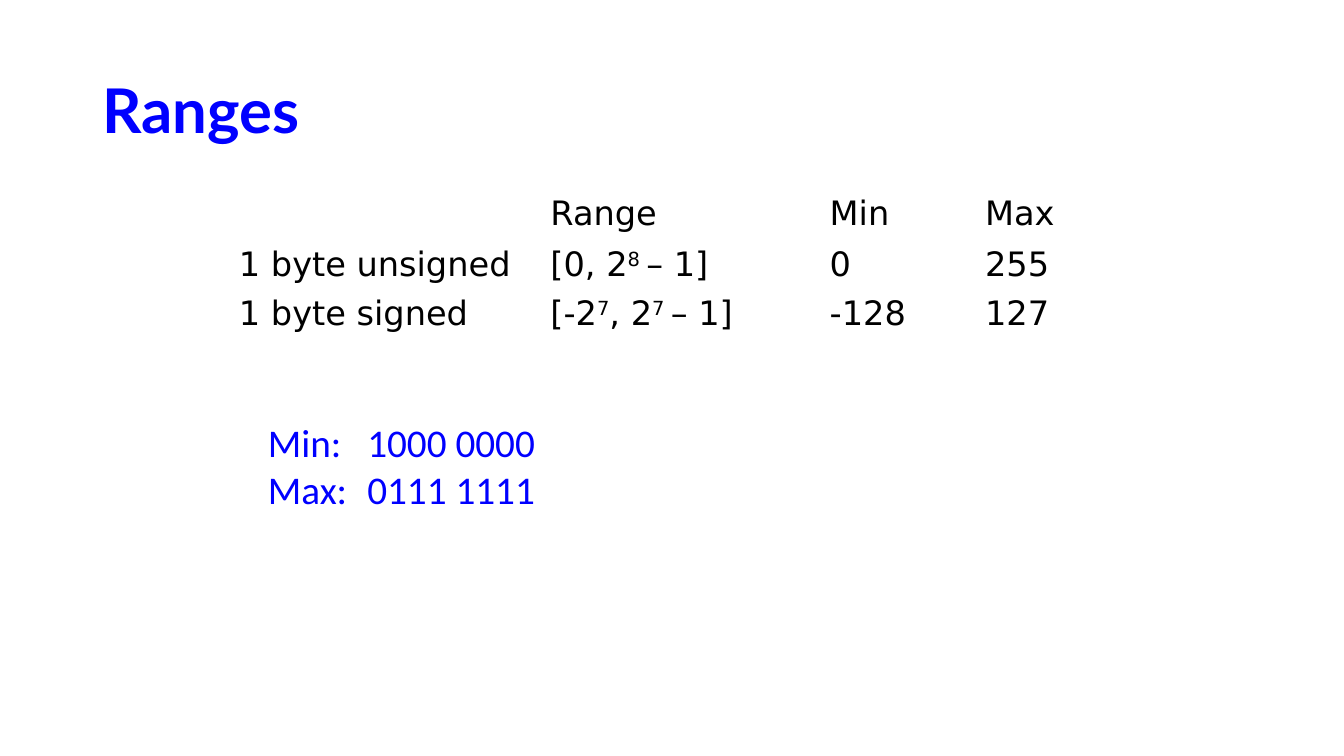
"""Build the slide on the value ranges of one-byte integers."""
from dataclasses import dataclass

from lxml import etree
from pptx import Presentation
from pptx import util as u
from pptx.dml import color
from pptx.enum import text
from pptx.oxml import ns
from pptx.text.text import _Paragraph as Paragraph


@dataclass(frozen=True)
class TextStyle:
    font: str
    size: float
    colour: str
    bold: bool = False


@dataclass(frozen=True)
class Theme:
    title: TextStyle = TextStyle("Lato", 44, "0000FF", True)
    table: TextStyle = TextStyle("DejaVu Sans", 24, "000000")
    limits: TextStyle = TextStyle("Calibri", 28, "0000FF")


@dataclass(frozen=True)
class Box:
    left: float
    top: float
    width: float
    height: float

    def lengths(self) -> tuple[u.Pt, ...]:
        return tuple(u.Pt(n) for n in (self.left, self.top, self.width, self.height))


@dataclass(frozen=True)
class RangeRow:
    height: float
    kind: str
    interval: str
    minimum: str
    maximum: str

    def values(self) -> tuple[str, ...]:
        return self.kind, self.interval, self.minimum, self.maximum


@dataclass(frozen=True)
class Limit:
    label: str
    bits: str


THEME = Theme()
TITLE_BOX = Box(66, 29, 828, 104.4)
TABLE_BOX = Box(163.5, 135.5, 641, 98)
LIMITS_BOX = Box(184.3, 295.2, 215, 75)
BITS_TAB = u.Pt(71)
COLUMN_WIDTHS = (222.5, 199.5, 111, 108)
ROWS = (
    RangeRow(36, "", "Range", "Min", "Max"),
    RangeRow(30.5, "1 byte unsigned", "[0, 2^8 ^– 1]", "0", "255"),
    RangeRow(31.5, "1 byte signed", "[-2^7^, 2^7 ^– 1]", "-128", "127"),
)
LIMITS = (Limit("Min:", "1000 0000"), Limit("Max:", "0111 1111"))


def apply_style(paragraph: Paragraph, style: TextStyle) -> None:
    font = paragraph.font
    font.name = style.font
    font.size = u.Pt(style.size)
    font.bold = style.bold
    font.color.rgb = color.RGBColor.from_string(style.colour)


def write_with_powers(paragraph: Paragraph, content: str) -> None:
    for index, piece in enumerate(content.split("^")):
        run = paragraph.add_run()
        run.text = piece
        if index % 2:
            run._r.get_or_add_rPr().set("baseline", "30000")


def add_title(slide) -> None:
    title = slide.shapes.title
    title.left, title.top, title.width, title.height = TITLE_BOX.lengths()
    title.text_frame.text = "Ranges"
    title.text_frame.vertical_anchor = text.MSO_ANCHOR.MIDDLE
    paragraph = title.text_frame.paragraphs[0]
    paragraph.alignment = text.PP_ALIGN.LEFT
    paragraph.line_spacing = 0.9
    apply_style(paragraph, THEME.title)


def add_range_table(slide) -> None:
    table = slide.shapes.add_table(len(ROWS), len(COLUMN_WIDTHS), *TABLE_BOX.lengths()).table
    table.first_row = table.horz_banding = False
    for column, width in zip(table.columns, COLUMN_WIDTHS):
        column.width = u.Pt(width)
    for table_row, range_row in zip(table.rows, ROWS):
        table_row.height = u.Pt(range_row.height)
        for cell, value in zip(table_row.cells, range_row.values()):
            cell.fill.background()
            paragraph = cell.text_frame.paragraphs[0]
            if value:
                write_with_powers(paragraph, value)
            apply_style(paragraph, THEME.table)


def add_limits(slide) -> None:
    frame = slide.shapes.add_textbox(*LIMITS_BOX.lengths()).text_frame
    frame.word_wrap = True
    frame.text = "\n".join(f"{limit.label}\t{limit.bits}" for limit in LIMITS)
    for paragraph in frame.paragraphs:
        tabs = etree.SubElement(paragraph._p.get_or_add_pPr(), ns.qn("a:tabLst"))
        etree.SubElement(tabs, ns.qn("a:tab"), pos=str(BITS_TAB), algn="l")
        apply_style(paragraph, THEME.limits)


def main() -> None:
    presentation = Presentation()
    presentation.slide_width, presentation.slide_height = u.Pt(960), u.Pt(540)
    slide = presentation.slides.add_slide(presentation.slide_layouts[5])
    add_title(slide)
    add_range_table(slide)
    add_limits(slide)
    presentation.save("out.pptx")


if __name__ == "__main__":
    main()
